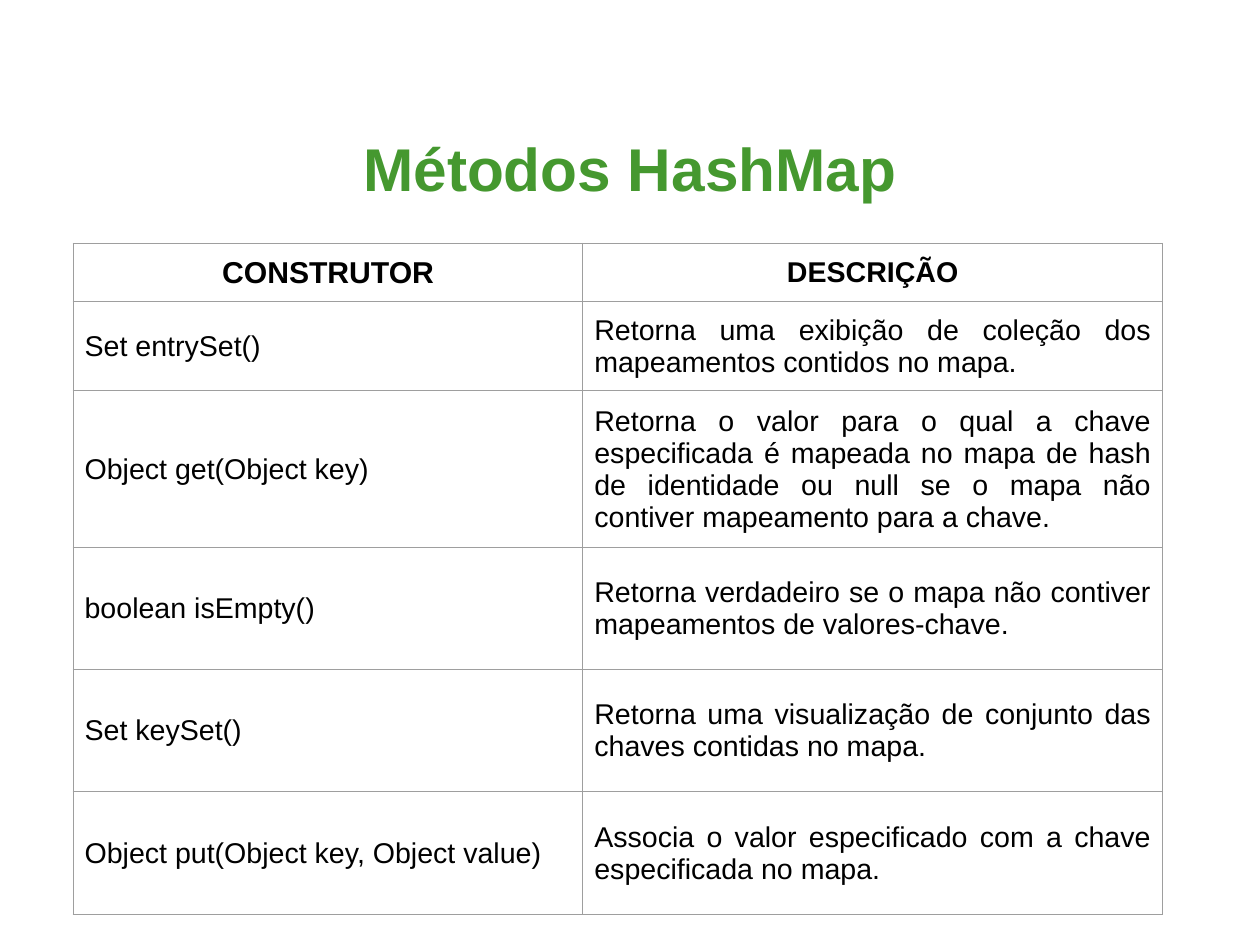
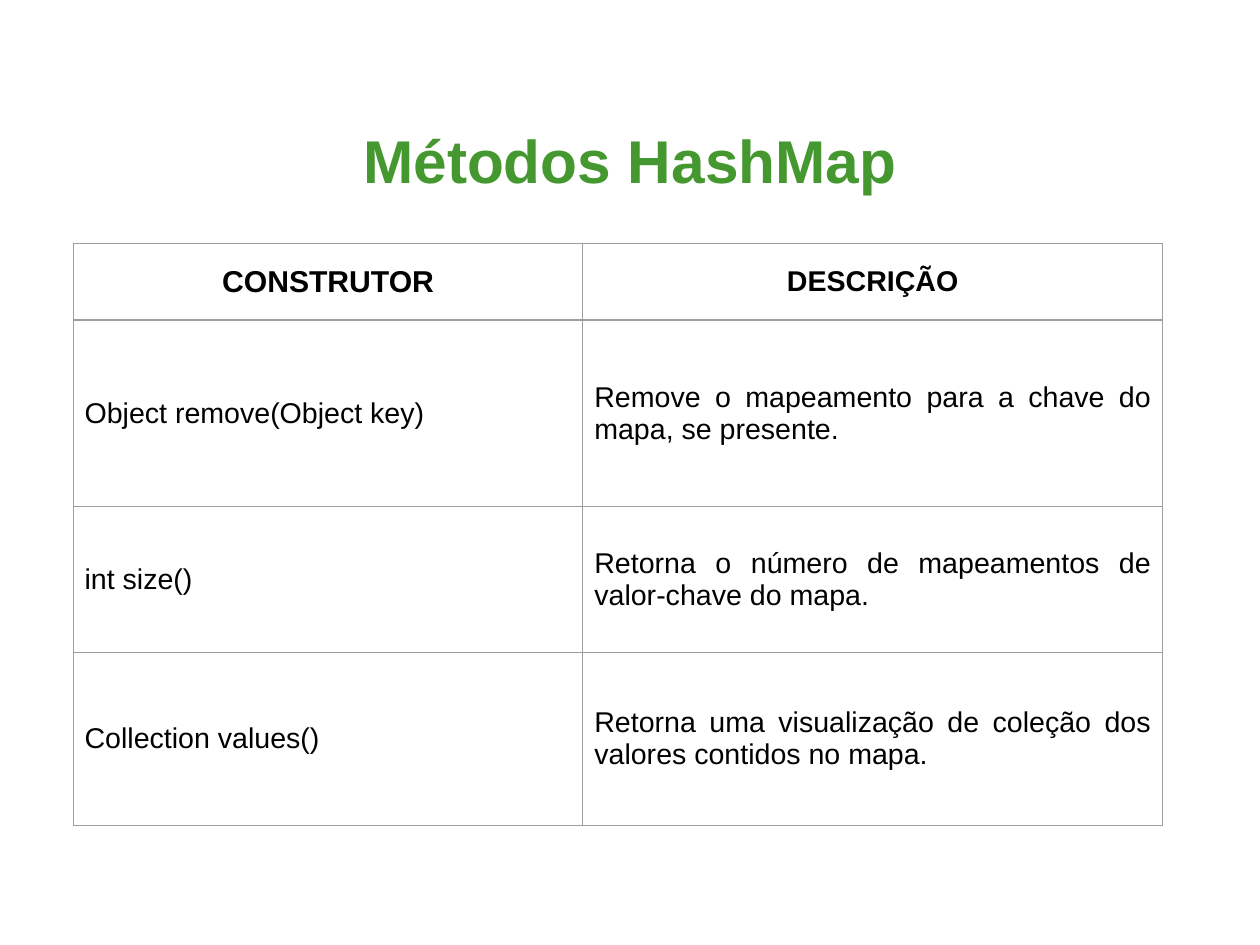
import dataclasses

import lxml.etree
import pptx
import pptx.dml.color
import pptx.enum.text
import pptx.oxml.ns
import pptx.util

Inches = pptx.util.Inches
Pt = pptx.util.Pt
Align = pptx.enum.text.PP_ALIGN
Middle = pptx.enum.text.MSO_ANCHOR.MIDDLE
qn = pptx.oxml.ns.qn


@dataclasses.dataclass(frozen=True)
class Theme:
    font: str = "Arial"
    green: str = "45982F"
    black: str = "000000"
    white: str = "FFFFFF"
    grid: str = "9E9E9E"
    title: float = 38
    head: float = 19
    body: float = 18
    rule: float = 0.75


@dataclasses.dataclass(frozen=True)
class Row:
    method: str
    use: str
    height: float


@dataclasses.dataclass(frozen=True)
class Page:
    top: float
    head: float
    rows: tuple[Row, ...]


THEME = Theme()
WIDTH, HEIGHT = 28 / 2.54, 21 / 2.54  # 28 by 21 cm
LEFT, TOP = 0.64, 2.13
COLS = (4.46, 5.07)
PAD = 0.1
TITLE = "Métodos HashMap"
HEADS = (("CONSTRUTOR", THEME.head), ("DESCRIÇÃO", THEME.body))

PAGES = (
    Page(0.8, 0.51, (
        Row("Set entrySet()",
            "Retorna uma exibição de coleção dos mapeamentos contidos no mapa.", 0.78),
        Row("Object get(Object key)",
            "Retorna o valor para o qual a chave especificada é mapeada no mapa de hash "
            "de identidade ou null se o mapa não contiver mapeamento para a chave.", 1.37),
        Row("boolean isEmpty()",
            "Retorna verdadeiro se o mapa não contiver mapeamentos de valores-chave.", 1.07),
        Row("Set keySet()",
            "Retorna uma visualização de conjunto das chaves contidas no mapa.", 1.07),
        Row("Object put(Object key, Object value)",
            "Associa o valor especificado com a chave especificada no mapa.", 1.07),
    )),
    Page(0.66, 0.67, (
        Row("Object remove(Object key)",
            "Remove o mapeamento para a chave do mapa, se presente.", 1.63),
        Row("int size()",
            "Retorna o número de mapeamentos de valor-chave do mapa.", 1.28),
        Row("Collection values()",
            "Retorna uma visualização de coleção dos valores contidos no mapa.", 1.51),
    )),
)


def write(frame, text: str, *, size: float = THEME.body, color: str = THEME.black,
          bold: bool = False, align=Align.JUSTIFY) -> None:
    para = frame.paragraphs[0]
    para.alignment = align
    run = para.add_run()
    run.text = text
    font = run.font
    font.name, font.size, font.bold = THEME.font, Pt(size), bold
    font.color.rgb = pptx.dml.color.RGBColor.from_string(color)


def inset(box, gap: float) -> None:
    """Set the same margin on all four sides of a cell or text frame."""
    box.margin_left = box.margin_right = Inches(gap)
    box.margin_top = box.margin_bottom = Inches(gap)
    box.vertical_anchor = Middle


def border(cell) -> None:
    props = cell._tc.get_or_add_tcPr()
    for side in ("lnL", "lnR", "lnT", "lnB"):
        line = lxml.etree.SubElement(props, qn(f"a:{side}"), w=str(Pt(THEME.rule)))
        fill = lxml.etree.SubElement(line, qn("a:solidFill"))
        lxml.etree.SubElement(fill, qn("a:srgbClr"), val=THEME.grid)


def add_title(slide, top: float) -> None:
    shape = slide.shapes.title
    shape.left, shape.top = Inches(0), Inches(top)
    shape.width, shape.height = Inches(WIDTH), Inches(TOP - top)
    frame = shape.text_frame
    frame.word_wrap = True
    frame.auto_size = pptx.enum.text.MSO_AUTO_SIZE.NONE
    inset(frame, 0)
    write(frame, TITLE, size=THEME.title, color=THEME.green, bold=True,
          align=Align.CENTER)


def add_grid(slide, page: Page) -> None:
    sizes = (page.head, *(row.height for row in page.rows))
    table = slide.shapes.add_table(
        len(sizes), len(COLS), Inches(LEFT), Inches(TOP),
        Inches(sum(COLS)), Inches(sum(sizes))).table
    table.first_row = table.horz_banding = False
    for col, width in zip(table.columns, COLS):
        col.width = Inches(width)
    for row, height in zip(table.rows, sizes):
        row.height = Inches(height)
    for cell in table.iter_cells():
        inset(cell, PAD)
        border(cell)
        cell.fill.solid()
        cell.fill.fore_color.rgb = pptx.dml.color.RGBColor.from_string(THEME.white)
    for col, (text, size) in enumerate(HEADS):
        write(table.cell(0, col).text_frame, text, size=size, bold=True,
              align=Align.CENTER)
    for num, row in enumerate(page.rows, 1):
        for col, text in enumerate((row.method, row.use)):
            write(table.cell(num, col).text_frame, text)


def main() -> None:
    deck = pptx.Presentation()
    deck.slide_width, deck.slide_height = Inches(WIDTH), Inches(HEIGHT)
    deck.element.sldSz.attrib.pop("type", None)
    layout = deck.slide_layouts.get_by_name("Title Only")
    for page in PAGES:
        slide = deck.slides.add_slide(layout)
        add_title(slide, page.top)
        add_grid(slide, page)
    deck.save("out.pptx")


if __name__ == "__main__":
    main()
